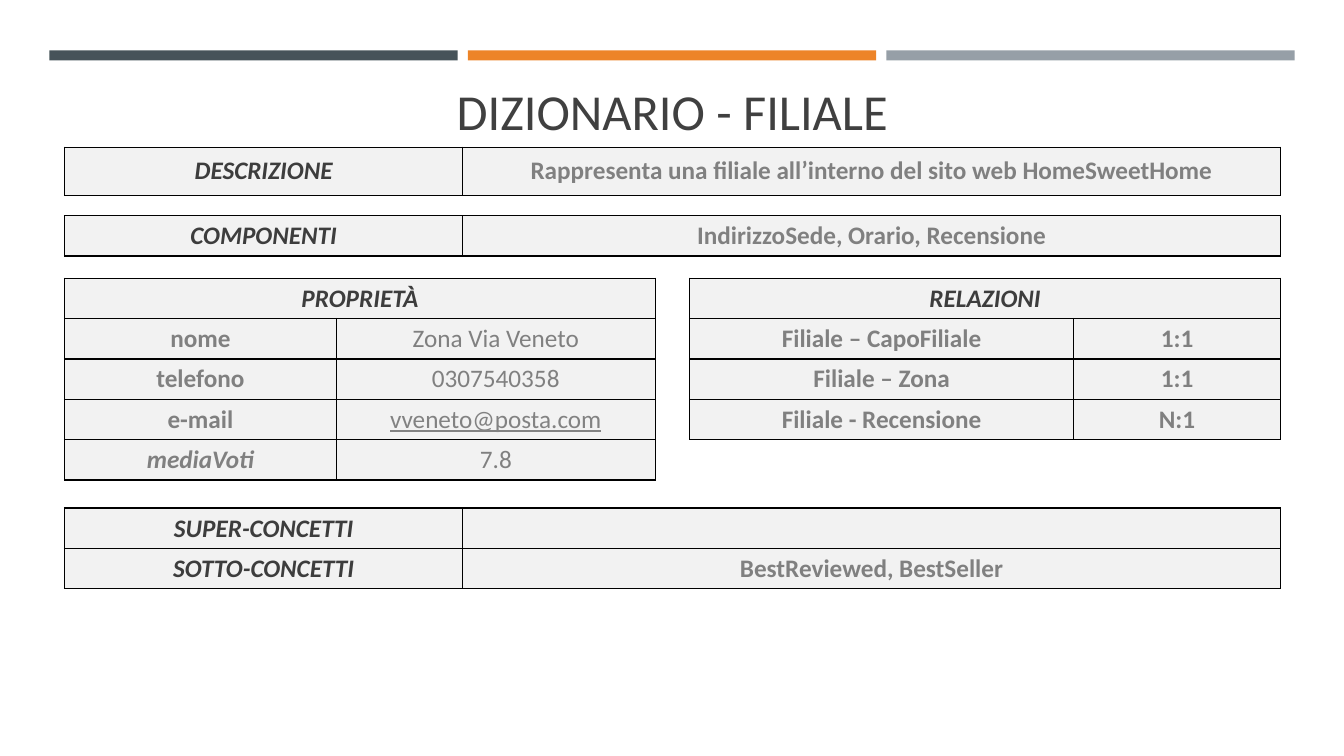
import dataclasses

import pptx
import pptx.dml.color
import pptx.enum.shapes
import pptx.enum.text
import pptx.oxml
import pptx.oxml.ns
import pptx.util


@dataclasses.dataclass(frozen=True)
class Theme:
    font: str = "Calibri"
    title_size: int = 36
    body_size: int = 18
    title: str = "404040"
    cell_fill: str = "F2F2F2"
    border: str = "000000"
    bars: tuple = ("465359", "ED8428", "969FA7")


@dataclasses.dataclass(frozen=True)
class Box:
    left: float
    top: float
    width: float
    height: float

    def emu(self):
        return [pptx.util.Inches(side) for side in dataclasses.astuple(self)]


THEME = Theme()
CENTER = pptx.enum.text.PP_ALIGN.CENTER
MIDDLE = pptx.enum.text.MSO_ANCHOR.MIDDLE

# Cell roles: colour and font format
ROLES = {
    "head": ("3D3D3D", {"bold": True, "italic": True}),
    "key": ("808080", {"bold": True, "italic": False}),
    "derived": ("808080", {"bold": True, "italic": True}),
    "value": ("808080", {"bold": False, "italic": False}),
    "mail": ("828282", {"bold": False, "italic": False, "underline": True}),
}

# Page grid, in inches
MARGIN, CONTENT = 0.64, 12.06
ROW = 0.4
HALF = 5.86
WIDE_COLUMNS = (0.3275, 0.6725)


def rgb(value):
    return pptx.dml.color.RGBColor.from_string(value)


def write(para, text, size, color, formats):
    para.alignment = CENTER
    span = para.add_run()
    span.text = text
    span.font.color.rgb = rgb(color)
    formats = {"name": THEME.font, "size": pptx.util.Pt(size), **formats}
    for name, value in formats.items():
        setattr(span.font, name, value)


def add_bars(page, box, gap):
    count = len(THEME.bars)
    width = (box.width - gap * (count - 1)) / count
    for index, color in enumerate(THEME.bars):
        place = Box(box.left + index * (width + gap), box.top, width, box.height)
        bar = page.shapes.add_shape(
            pptx.enum.shapes.MSO_SHAPE.RECTANGLE, *place.emu())
        bar.shadow.inherit = False
        bar.fill.solid()
        bar.fill.fore_color.rgb = rgb(color)
        bar.line.fill.background()


def add_title(page, box, text):
    frame = page.shapes.add_textbox(*box.emu()).text_frame
    frame.word_wrap = True
    frame.vertical_anchor = pptx.enum.text.MSO_ANCHOR.BOTTOM
    write(frame.paragraphs[0], text, THEME.title_size, THEME.title, {})


def style_cell(cell):
    cell.vertical_anchor = MIDDLE
    properties = cell._tc.get_or_add_tcPr()
    for side in ("lnL", "lnR", "lnT", "lnB"):
        properties.append(pptx.oxml.parse_xml(
            f'<a:{side} {pptx.oxml.ns.nsdecls("a")} w="{pptx.util.Pt(1)}">'
            f'<a:solidFill><a:srgbClr val="{THEME.border}"/></a:solidFill>'
            f'</a:{side}>'))
    cell.fill.solid()
    cell.fill.fore_color.rgb = rgb(THEME.cell_fill)


def add_grid(page, box, shares, rows):
    """Each row holds (role, text) pairs; a row with one pair spans the table."""
    table = page.shapes.add_table(len(rows), len(shares), *box.emu()).table
    table.first_row = table.horz_banding = False
    for column, share in zip(table.columns, shares):
        column.width = pptx.util.Inches(box.width * share)
    for cell in table.iter_cells():
        style_cell(cell)
    for index, entries in enumerate(rows):
        if len(entries) < len(shares):
            table.cell(index, 0).merge(table.cell(index, len(shares) - 1))
        for column, (role, text) in enumerate(entries):
            if text:
                color, formats = ROLES[role]
                para = table.cell(index, column).text_frame.paragraphs[0]
                write(para, text, THEME.body_size, color, formats)


def add_dictionary(page):
    # Full-width label and text rows
    for top, height, label, text in (
        (1.46, 0.48, "DESCRIZIONE",
         "Rappresenta una filiale all’interno del sito web HomeSweetHome"),
        (2.14, ROW, "COMPONENTI", "IndirizzoSede, Orario, Recensione"),
        (5.04, ROW, "SUPER-CONCETTI", ""),
        (5.04 + ROW, ROW, "SOTTO-CONCETTI", "BestReviewed, BestSeller"),
    ):
        add_grid(page, Box(MARGIN, top, CONTENT, height), WIDE_COLUMNS,
                 [[("head", label), ("key", text)]])

    # Properties on the left, relations on the right
    properties = [
        [("head", "PROPRIETÀ")],
        [("key", "nome"), ("value", "Zona Via Veneto")],
        [("key", "telefono"), ("value", "0307540358")],
        [("key", "e-mail"), ("mail", "vveneto@posta.com")],
        [("derived", "mediaVoti"), ("value", "7.8")],
    ]
    relations = [
        [("head", "RELAZIONI")],
        [("key", "Filiale – CapoFiliale"), ("key", "1:1")],
        [("key", "Filiale – Zona"), ("key", "1:1")],
        [("key", "Filiale - Recensione"), ("key", "N:1")],
    ]
    for left, shares, rows in (
        (MARGIN, (0.46, 0.54), properties),
        (MARGIN + CONTENT - HALF, (0.65, 0.35), relations),
    ):
        add_grid(page, Box(left, 2.76, HALF, ROW * len(rows)), shares, rows)


def main():
    deck = pptx.Presentation()
    deck.slide_width = pptx.util.Inches(13.33)
    deck.slide_height = pptx.util.Inches(7.5)
    page = deck.slides.add_slide(deck.slide_layouts[6])
    add_bars(page, Box(0.49, 0.5, 12.35, 0.1), gap=0.1)
    add_title(page, Box(MARGIN, 0.62, CONTENT, 0.82), "DIZIONARIO - FILIALE")
    add_dictionary(page)
    deck.save("out.pptx")


if __name__ == "__main__":
    main()
